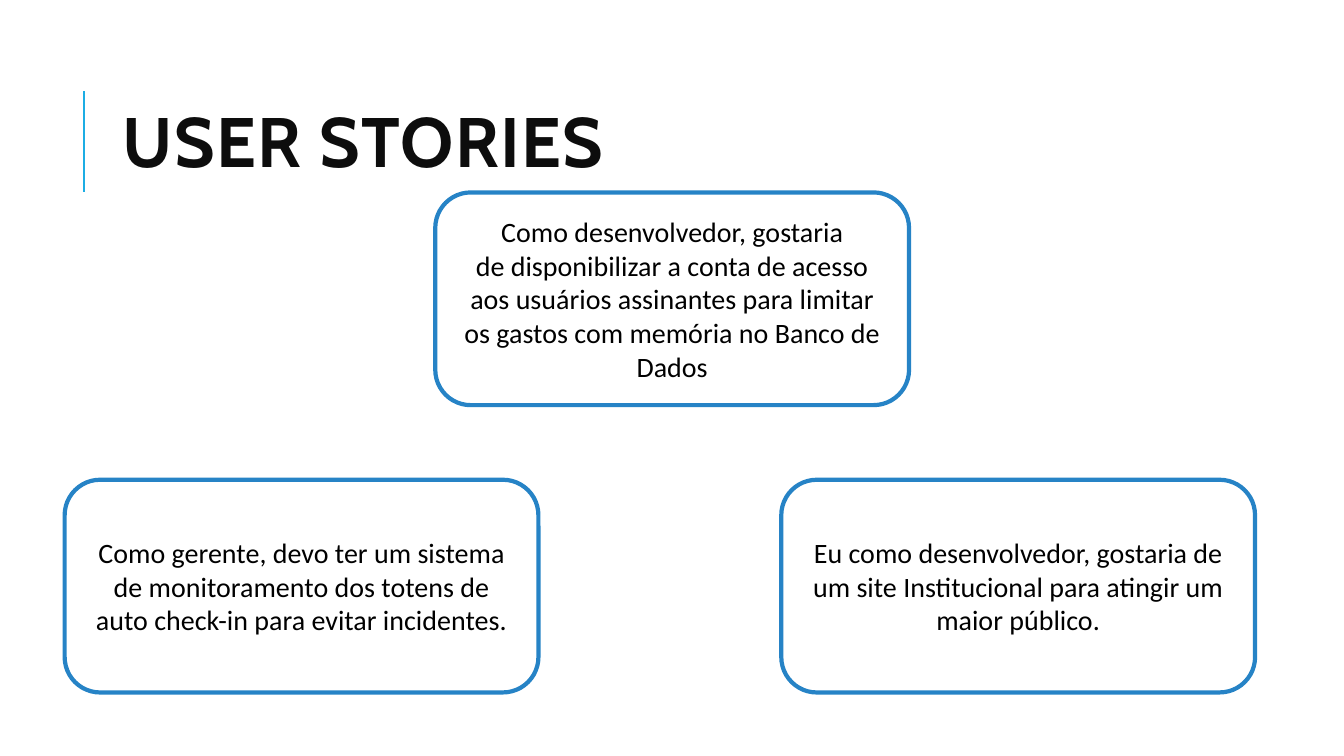
from dataclasses import dataclass

from lxml import etree
from pptx import Presentation
from pptx.dml.color import RGBColor
from pptx.enum.shapes import MSO_CONNECTOR, MSO_SHAPE
from pptx.enum.text import MSO_ANCHOR, MSO_AUTO_SIZE, PP_ALIGN
from pptx.oxml.ns import qn
from pptx.slide import Slide
from pptx.text.text import Font
from pptx.util import Cm, Pt

STRAIGHT = MSO_CONNECTOR.STRAIGHT
ROUNDED = MSO_SHAPE.ROUNDED_RECTANGLE
MIDDLE = MSO_ANCHOR.MIDDLE
NO_AUTOFIT = MSO_AUTO_SIZE.NONE
LEFT, CENTER = PP_ALIGN.LEFT, PP_ALIGN.CENTER
TITLE_ONLY = 5


@dataclass(frozen=True)
class Theme:
    title_font: str = "Cabin"
    body_font: str = "Calibri"
    title_size: Pt = Pt(50)
    body_size: Pt = Pt(20)
    title_color: RGBColor = RGBColor(0x0D, 0x0D, 0x0D)
    body_color: RGBColor = RGBColor(0, 0, 0)
    background: RGBColor = RGBColor(0xFF, 0xFF, 0xFF)
    accent: RGBColor = RGBColor(0x1C, 0xAD, 0xE4)
    card_border: RGBColor = RGBColor(0x26, 0x83, 0xC6)


@dataclass(frozen=True)
class Story:
    left: float
    top: float
    paragraphs: tuple[str, ...]


THEME = Theme()
CARD_WIDTH, CARD_HEIGHT = 11.94, 5.36
LOWER_ROW = 12.09
STORIES = (
    Story(10.97, 4.85, (
        "Como desenvolvedor, gostaria",
        "de disponibilizar a conta de acesso aos usuários assinantes "
        "para limitar os gastos com memória no Banco de Dados",
    )),
    Story(1.63, LOWER_ROW, (
        "Como gerente, devo ter um sistema de monitoramento dos totens "
        "de auto check-in para evitar incidentes.",
    )),
    Story(19.69, LOWER_ROW, (
        "Eu como desenvolvedor, gostaria de um site Institucional "
        "para atingir um maior público.",
    )),
)


def set_font(font: Font, name: str, size: Pt, color: RGBColor, bold: bool) -> None:
    font.name = name
    font.size = size
    font.bold = bold
    font.color.rgb = color


def add_accent_line(s: Slide) -> None:
    line = s.shapes.add_connector(STRAIGHT, Cm(2.12), Cm(4.83), Cm(2.12), Cm(2.29))
    line.line.color.rgb = THEME.accent
    line.line.width = Pt(1.5)
    etree.SubElement(line._element.spPr, qn("a:effectLst"))


def format_title(s: Slide, text: str) -> None:
    sp = s.shapes.title
    sp.left, sp.top, sp.width, sp.height = Cm(2.84), Cm(1.63), Cm(27), Cm(4.17)
    tf = sp.text_frame
    tf.text = text
    tf.word_wrap = True
    tf.auto_size = NO_AUTOFIT
    tf.vertical_anchor = MIDDLE
    p = tf.paragraphs[0]
    p.alignment = LEFT
    p.line_spacing = 0.8
    r = p.runs[0]
    set_font(r.font, THEME.title_font, THEME.title_size, THEME.title_color, True)
    r._r.get_or_add_rPr().set("spc", "100")


def add_story(s: Slide, story: Story) -> None:
    sp = s.shapes.add_shape(ROUNDED, Cm(story.left), Cm(story.top),
                            Cm(CARD_WIDTH), Cm(CARD_HEIGHT))
    sp.shadow.inherit = False
    sp.fill.background()
    sp.line.color.rgb = THEME.card_border
    sp.line.width = Pt(3)
    tf = sp.text_frame
    tf.text = "\n".join(story.paragraphs)
    tf.word_wrap = True
    tf.vertical_anchor = MIDDLE
    for p in tf.paragraphs:
        p.alignment = CENTER
        for r in p.runs:
            set_font(r.font, THEME.body_font, THEME.body_size, THEME.body_color, False)


def main() -> None:
    prs = Presentation()
    prs.slide_width, prs.slide_height = Cm(33.87), Cm(19.05)
    s = prs.slides.add_slide(prs.slide_layouts[TITLE_ONLY])
    s.background.fill.solid()
    s.background.fill.fore_color.rgb = THEME.background
    add_accent_line(s)
    format_title(s, "USER STORIES")
    for story in STORIES:
        add_story(s, story)
    prs.save("out.pptx")


if __name__ == "__main__":
    main()
